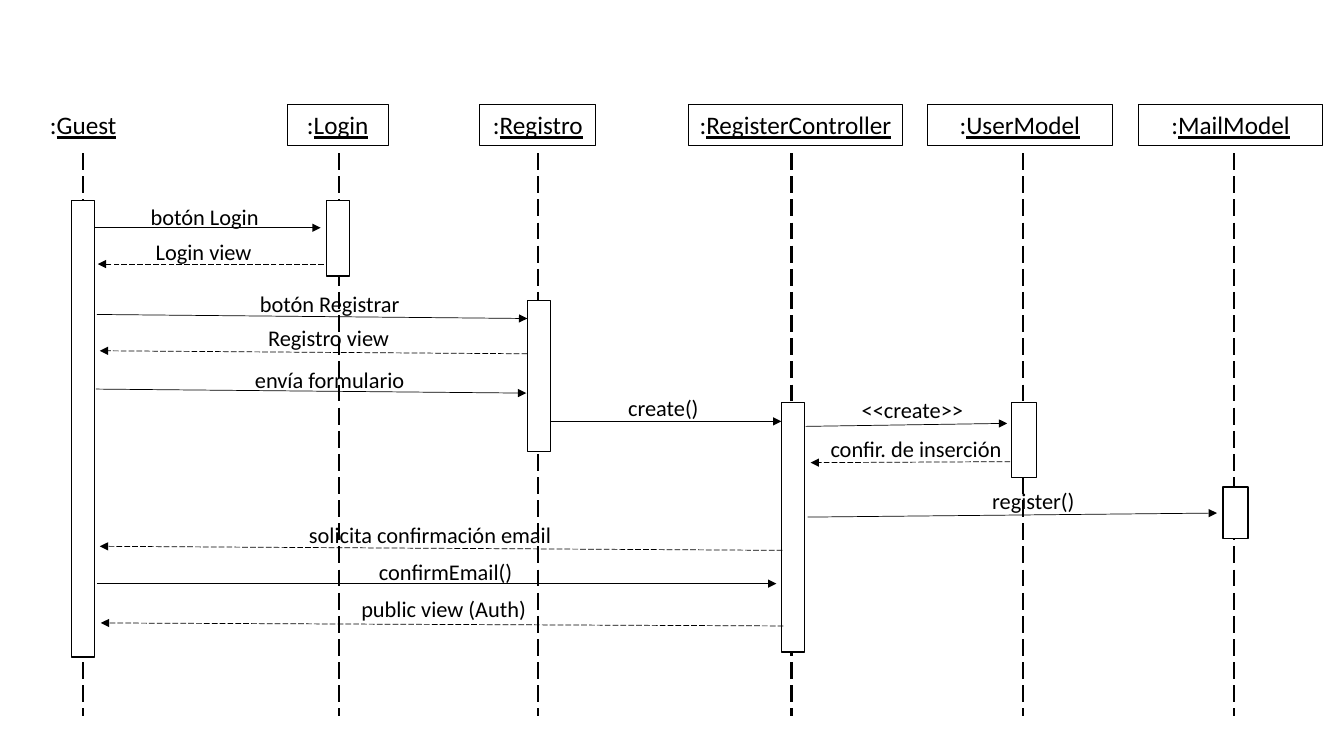
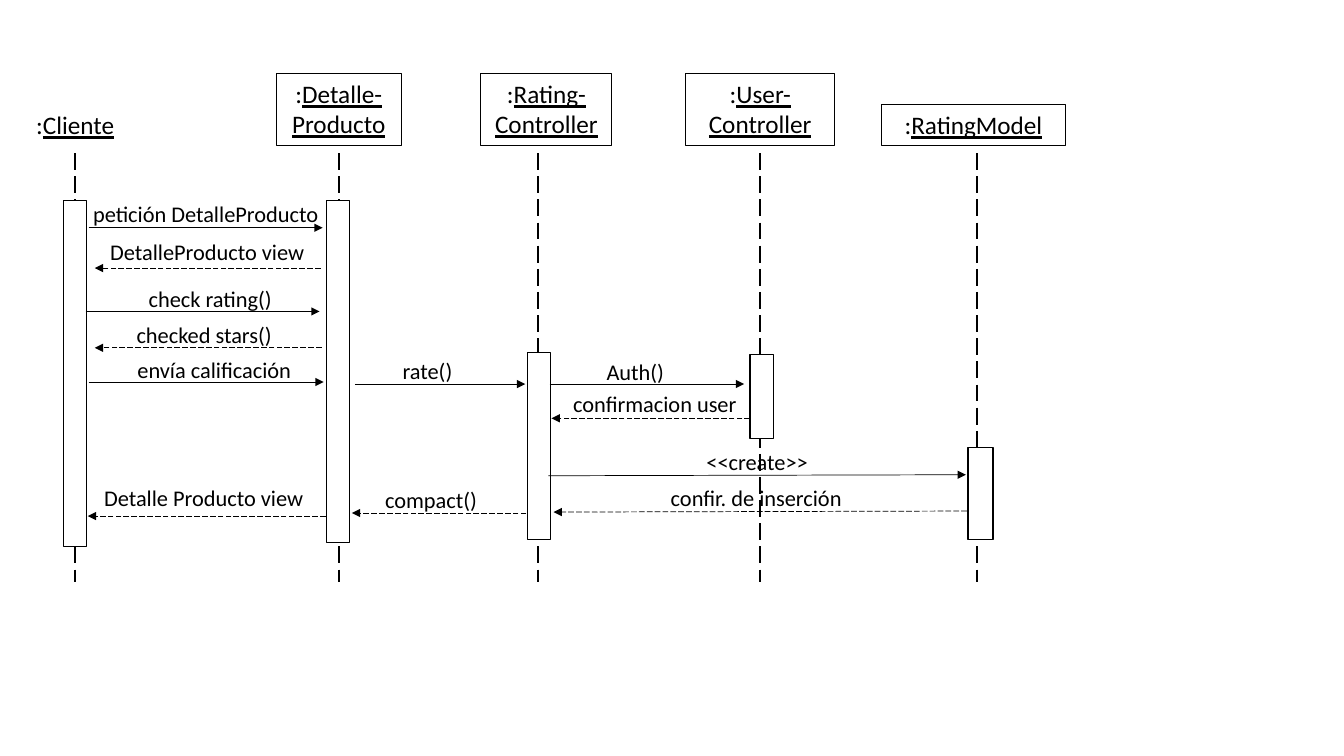
from dataclasses import dataclass

from lxml import etree
from pptx import Presentation
from pptx.dml.color import RGBColor
from pptx.enum.dml import MSO_LINE
from pptx.enum.shapes import MSO_CONNECTOR, MSO_SHAPE
from pptx.enum.text import MSO_ANCHOR, MSO_AUTO_SIZE, PP_ALIGN
from pptx.oxml.ns import qn
from pptx.shapes.autoshape import Shape
from pptx.shapes.connector import Connector
from pptx.slide import Slide
from pptx.util import Emu, Pt

RECTANGLE = MSO_SHAPE.RECTANGLE
STRAIGHT = MSO_CONNECTOR.STRAIGHT
LONG_DASH = MSO_LINE.LONG_DASH
CENTER = PP_ALIGN.CENTER

EMU_PER_PX = 9144  # 100 px to the inch
SLIDE_WIDTH, SLIDE_HEIGHT = 1333, 750
HEAD_BOTTOM = 144
HEAD_HEIGHTS = {1: 40, 2: 71}
LIFELINE_TOP = 152
LABEL_HEIGHT = 37
BLANK_LAYOUT = 6


@dataclass(frozen=True)
class Theme:
    font: str = "Calibri"
    ink: RGBColor = RGBColor(0, 0, 0)
    paper: RGBColor = RGBColor(255, 255, 255)
    head_size: float = 18
    label_size: float = 16
    head_border: float = 0.75
    bar_border: float = 1
    lifeline_width: float = 1.5
    arrow_width: float = 0.5


THEME = Theme()
FRAME_FORMAT = {
    "word_wrap": True,
    "auto_size": MSO_AUTO_SIZE.SHAPE_TO_FIT_TEXT,
    "vertical_anchor": MSO_ANCHOR.TOP,
}


@dataclass(frozen=True)
class Participant:
    name: str
    head_left: int
    head_width: int
    axis: int
    bar_left: int
    bar_top: int
    bar_height: int
    bar_width: int = 23
    boxed: bool = True
    head_lines: int = 1


@dataclass(frozen=True)
class Message:
    text: str
    start: tuple[int, int]
    end: tuple[int, int]
    label_left: int
    label_top: int
    label_width: int

    @property
    def is_reply(self) -> bool:
        return self.end[0] < self.start[0]


@dataclass(frozen=True)
class Sequence:
    lifeline_bottom: int
    participants: tuple[Participant, ...]
    messages: tuple[Message, ...]


REGISTRATION = Sequence(
    710,
    (
        Participant("Guest", 15, 135, 82, 71, 199, 453, boxed=False),
        Participant("Login", 285, 100, 336, 324, 199, 75),
        Participant("Registro", 476, 115, 534, 523, 298, 150),
        Participant("RegisterController", 683, 212, 785, 775, 399, 248),
        Participant("UserModel", 920, 183, 1015, 1003, 399, 75, 25),
        Participant("MailModel", 1129, 183, 1224, 1213, 483, 51, 25),
    ),
    (
        Message("botón Login", (94, 226), (318, 226), 120, 197, 166),
        Message("Login view", (321, 262), (97, 262), 119, 231, 166),
        Message("botón Registrar", (96, 312), (523, 316), 244, 283, 166),
        Message("Registro view", (523, 351), (99, 348), 243, 317, 166),
        Message("envía formulario", (95, 386), (522, 390), 223, 358, 208),
        Message("create()", (546, 418), (775, 418), 575, 386, 166),
        Message("<<create>>", (799, 423), (999, 420), 822, 388, 166),
        Message("confir. de inserción", (1002, 458), (804, 459), 760, 427, 297),
        Message("register()", (801, 513), (1207, 509), 942, 478, 166),
        Message("solicita confirmación email", (776, 546), (99, 542), 278, 512, 297),
        Message("confirmEmail()", (96, 579), (770, 579), 338, 549, 208),
        Message("public view (Auth)", (777, 621), (100, 618), 336, 586, 208),
    ),
)

RATING = Sequence(
    577,
    (
        Participant("Cliente", 7, 135, 74, 63, 199, 343, boxed=False),
        Participant("Detalle-Producto", 274, 124, 336, 324, 199, 339, head_lines=2),
        Participant("Rating-\nController", 477, 130, 534, 523, 350, 185, head_lines=2),
        Participant("User-Controller", 680, 148, 754, 744, 352, 83, head_lines=2),
        Participant("RatingModel", 874, 183, 969, 960, 444, 91, 25),
    ),
    (
        Message("petición DetalleProducto", (88, 226), (320, 226), 59, 194, 290),
        Message("DetalleProducto view", (318, 266), (94, 266), 83, 231, 245),
        Message("check rating()", (85, 309), (317, 309), 105, 278, 207),
        Message("checked stars()", (319, 345), (94, 345), 80, 314, 245),
        Message("envía calificación", (88, 379), (321, 379), 109, 348, 207),
        Message("rate()", (352, 381), (521, 381), 373, 349, 102),
        Message("Auth()", (545, 381), (738, 381), 579, 350, 102),
        Message("confirmacion user", (744, 415), (547, 415), 557, 382, 185),
        Message("<<create>>", (544, 472), (958, 471), 668, 440, 166),
        Message("confir. de inserción", (959, 507), (549, 508), 614, 475, 272),
        Message("compact()", (522, 509), (349, 509), 335, 477, 185),
        Message("Detalle Producto view", (323, 512), (87, 512), 91, 475, 222),
    ),
)


def px(*lengths: int) -> list[Emu]:
    return [Emu(length * EMU_PER_PX) for length in lengths]


def set_values(target: object, values: dict[str, object]) -> None:
    for name, value in values.items():
        setattr(target, name, value)


def add_rectangle(slide: Slide, left: int, top: int, width: int, height: int,
                  border: float) -> Shape:
    shape = slide.shapes.add_shape(RECTANGLE, *px(left, top, width, height))
    shape.shadow.inherit = False
    shape.line.color.rgb = THEME.ink
    shape.line.width = Pt(border)
    return shape


def write_text(shape: Shape, text: str, size: float, prefix: str = "") -> None:
    """Write centred lines; a prefix stays plain and underlines the rest."""
    frame = shape.text_frame
    set_values(frame, FRAME_FORMAT)
    for index, line in enumerate(text.split("\n")):
        paragraph = frame.add_paragraph() if index else frame.paragraphs[0]
        paragraph.alignment = CENTER
        pieces = [(line, bool(prefix))]
        if prefix and not index:
            pieces.insert(0, (prefix, False))
        for piece, underline in pieces:
            run = paragraph.add_run()
            run.text = piece
            set_values(run.font, {"name": THEME.font, "size": Pt(size),
                                  "underline": underline})
            run.font.color.rgb = THEME.ink


def add_line(slide: Slide, start: tuple[int, int], end: tuple[int, int],
             width: float, dashed: bool) -> Connector:
    connector = slide.shapes.add_connector(STRAIGHT, *px(*start, *end))
    connector.line.color.rgb = THEME.ink
    connector.line.width = Pt(width)
    if dashed:
        connector.line.dash_style = LONG_DASH
    etree.SubElement(connector._element.spPr, qn("a:effectLst"))
    return connector


def draw_participant(slide: Slide, participant: Participant, lifeline_bottom: int) -> None:
    height = HEAD_HEIGHTS[participant.head_lines]
    box = (participant.head_left, HEAD_BOTTOM - height, participant.head_width, height)
    if participant.boxed:
        head = add_rectangle(slide, *box, THEME.head_border)
        head.fill.background()
    else:
        head = slide.shapes.add_textbox(*px(*box))
    write_text(head, participant.name, THEME.head_size, prefix=":")
    add_line(slide, (participant.axis, LIFELINE_TOP), (participant.axis, lifeline_bottom),
             THEME.lifeline_width, dashed=True)
    bar = add_rectangle(slide, participant.bar_left, participant.bar_top,
                        participant.bar_width, participant.bar_height, THEME.bar_border)
    bar.fill.solid()
    bar.fill.fore_color.rgb = THEME.paper


def draw_message(slide: Slide, message: Message) -> None:
    arrow = add_line(slide, message.start, message.end, THEME.arrow_width, message.is_reply)
    etree.SubElement(arrow.line._get_or_add_ln(), qn("a:tailEnd"), type="triangle")
    label = slide.shapes.add_textbox(
        *px(message.label_left, message.label_top, message.label_width, LABEL_HEIGHT))
    write_text(label, message.text, THEME.label_size)


def draw_sequence(slide: Slide, sequence: Sequence) -> None:
    for participant in sequence.participants:
        draw_participant(slide, participant, sequence.lifeline_bottom)
    for message in sequence.messages:
        draw_message(slide, message)


def main() -> None:
    presentation = Presentation()
    presentation.slide_width, presentation.slide_height = px(SLIDE_WIDTH, SLIDE_HEIGHT)
    for sequence in (REGISTRATION, RATING):
        slide = presentation.slides.add_slide(presentation.slide_layouts[BLANK_LAYOUT])
        draw_sequence(slide, sequence)
    presentation.save("out.pptx")


if __name__ == "__main__":
    main()
